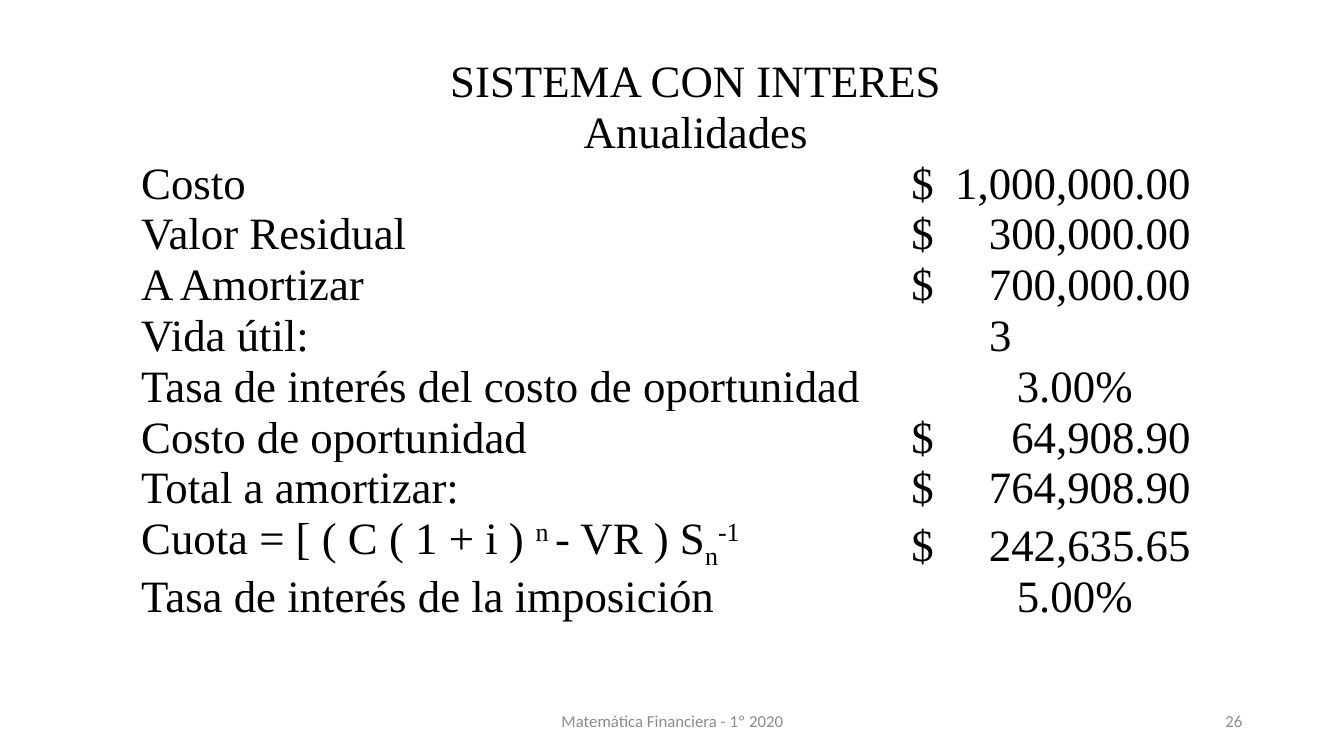
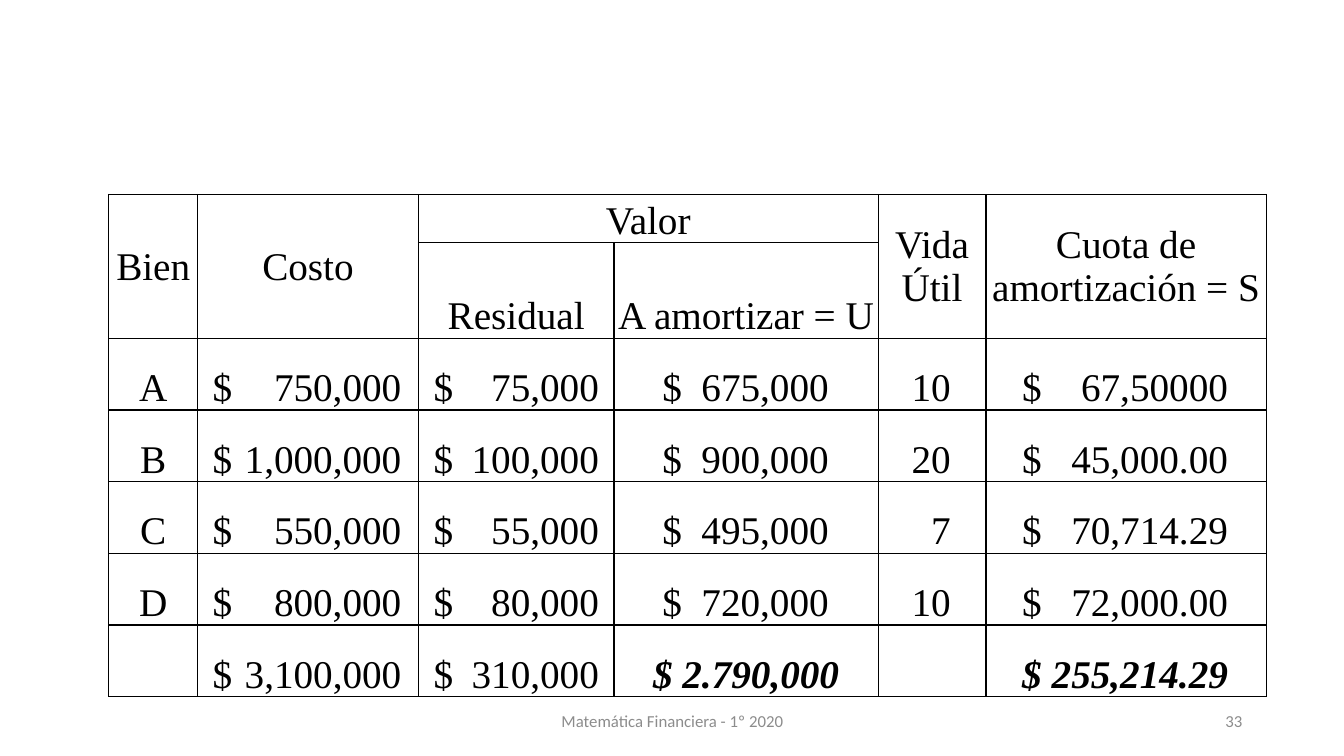
from lxml import etree
from pptx import Presentation
from pptx.dml.color import RGBColor
from pptx.enum.text import MSO_ANCHOR, PP_ALIGN
from pptx.oxml.ns import qn
from pptx.util import Inches, Pt

LEFT, CENTER, RIGHT = PP_ALIGN.LEFT, PP_ALIGN.CENTER, PP_ALIGN.RIGHT
MIDDLE, BOTTOM = MSO_ANCHOR.MIDDLE, MSO_ANCHOR.BOTTOM

BLACK, GRAY = "000000", "8C8C8C"
SERIF, SANS = "Times New Roman", "Calibri"
FOOTER = "Matemática Financiera - 1º 2020"
PAD = 0.01

# Slide 26: headings, then label and value
HEADINGS = ["SISTEMA CON INTERES", "Anualidades"]
QUOTA = [("Cuota = [ ( C ( 1 + i ) ", 0), ("n ", 30), ("- VR ) S", 0),
         ("n", -25), ("-1", 30)]  # text, baseline shift in percent
ANNUITY = [
    ("Costo", "$\t1,000,000.00"),
    ("Valor Residual", "$\t300,000.00"),
    ("A Amortizar", "$\t700,000.00"),
    ("Vida útil:", "3"),
    ("Tasa de interés del costo de oportunidad", "3.00%"),
    ("Costo de oportunidad", "$\t64,908.90"),
    ("Total a amortizar:", "$\t764,908.90"),
    (QUOTA, "$\t242,635.65"),
    ("Tasa de interés de la imposición", "5.00%"),
]
ANNUITY_COLS = [7.52, 3.5]
ANNUITY_MONEY = (0.13, 2.9)  # dollar sign and right edge of the figure
YEARS_INDENT = 0.9

# Slide 33: header cells as row, column, rows, columns, text, anchor
ASSET_HEADER = [
    (0, 0, 2, 1, "Bien", MIDDLE),
    (0, 1, 2, 1, "Costo", MIDDLE),
    (0, 2, 1, 2, "Valor", BOTTOM),
    (0, 4, 2, 1, "Vida Útil", MIDDLE),
    (0, 5, 2, 1, "Cuota de amortización = S", MIDDLE),
    (1, 2, 1, 1, "Residual", BOTTOM),
    (1, 3, 1, 1, "A amortizar = U", BOTTOM),
]
ASSETS = [
    ("A", "$\t750,000", "$\t75,000", "$\t675,000", "10", "$\t67,50000"),
    ("B", "$\t1,000,000", "$\t100,000", "$\t900,000", "20", "$\t45,000.00"),
    ("C", "$\t550,000", "$\t55,000", "$\t495,000", "7", "$\t70,714.29"),
    ("D", "$\t800,000", "$\t80,000", "$\t720,000", "10", "$\t72,000.00"),
    ("", "$\t3,100,000", "$\t310,000", "$ 2.790,000", "", "$\t255,214.29"),
]
ASSET_COLS = [0.88, 2.19, 1.94, 2.62, 1.07, 2.78]
ASSET_ROWS = [0.47, 0.95] + [0.71] * len(ASSETS)
ASSET_MONEY = {1: (0.15, 2.02), 2: (0.15, 1.79), 3: (0.48, 2.13),
               5: (0.36, 2.4)}
LIFE_COL, LIFE_MARGIN = 4, 0.35
EMPHASIZED_COLS = (3, 5)


def rgb(color):
    return RGBColor.from_string(color)


def add_run(p, text, size, font, color, baseline=0, emphasis=False):
    r = p.add_run()
    r.text = text
    r.font.size, r.font.name = Pt(size), font
    r.font.color.rgb = rgb(color)
    if emphasis:
        r.font.bold = r.font.italic = True
    if baseline:
        r._r.get_or_add_rPr().set("baseline", str(baseline * 1000))


def add_right_tab(p, pos):
    tabs = etree.SubElement(p._p.get_or_add_pPr(), qn("a:tabLst"))
    etree.SubElement(tabs, qn("a:tab"), pos=str(Inches(pos)), algn="r")


def set_borders(cell):
    tc_pr = cell._tc.get_or_add_tcPr()
    for i, side in enumerate(("lnL", "lnR", "lnT", "lnB")):
        ln = etree.Element(qn("a:" + side), w=str(Pt(1)))
        fill = etree.SubElement(ln, qn("a:solidFill"))
        etree.SubElement(fill, qn("a:srgbClr"), val=BLACK)
        tc_pr.insert(i, ln)


def add_table(s, left, top, cols, rows, bordered=False):
    """Add a plain table without banding or fills."""
    table = s.shapes.add_table(len(rows), len(cols), Inches(left), Inches(top),
                               Inches(sum(cols)), Inches(sum(rows))).table
    table.first_row = table.horz_banding = False
    for col, width in zip(table.columns, cols):
        col.width = Inches(width)
    for row, height in zip(table.rows, rows):
        row.height = Inches(height)
    for cell in table.iter_cells():
        cell.fill.background()
        cell.margin_left = cell.margin_right = cell.margin_top = Inches(PAD)
        cell.margin_bottom = 0
        if bordered:
            set_borders(cell)
    return table


def fill_cell(cell, text, size, align=LEFT, anchor=BOTTOM, spacing=None,
              money=None, emphasis=False):
    """Write a string or (text, baseline) runs; a tab splits $ from figure."""
    cell.vertical_anchor = anchor
    p = cell.text_frame.paragraphs[0]
    p.alignment = align
    if spacing:
        p.line_spacing = spacing
    if "\t" in text:
        start, end = money
        p.alignment = LEFT
        cell.margin_left = Inches(start)
        add_right_tab(p, end - start)
    for part, baseline in [(text, 0)] if isinstance(text, str) else text:
        if part:
            add_run(p, part, size, SERIF, BLACK, baseline, emphasis)


def add_footer(s, number):
    for left, width, text, align in ((4.42, 4.5, FOOTER, CENTER),
                                     (9.42, 3, str(number), RIGHT)):
        tf = s.shapes.add_textbox(Inches(left), Inches(6.95), Inches(width),
                                  Inches(0.4)).text_frame
        tf.word_wrap = True
        tf.vertical_anchor = MIDDLE
        p = tf.paragraphs[0]
        p.alignment = align
        add_run(p, text, 12, SANS, GRAY)


def build_annuity(s):
    count = len(HEADINGS) + len(ANNUITY)
    table = add_table(s, 1.39, 0.56, ANNUITY_COLS, [0.5] * count)
    for i, heading in enumerate(HEADINGS):
        table.cell(i, 0).merge(table.cell(i, 1))
        fill_cell(table.cell(i, 0), heading, 32, CENTER)
    for i, (label, value) in enumerate(ANNUITY, len(HEADINGS)):
        fill_cell(table.cell(i, 0), label, 32)
        cell = table.cell(i, 1)
        fill_cell(cell, value, 32, CENTER if "%" in value else LEFT,
                  money=ANNUITY_MONEY)
        if value.isdigit():
            cell.margin_left = Inches(YEARS_INDENT)


def build_assets(s):
    table = add_table(s, 1.08, 1.93, ASSET_COLS, ASSET_ROWS, bordered=True)
    for row, col, height, width, text, anchor in ASSET_HEADER:
        cell = table.cell(row, col)
        if height * width > 1:
            cell.merge(table.cell(row + height - 1, col + width - 1))
        fill_cell(cell, text, 28, CENTER, anchor)
    for i, asset in enumerate(ASSETS, 2):
        is_total = i == len(ASSET_ROWS) - 1
        for j, text in enumerate(asset):
            cell = table.cell(i, j)
            fill_cell(cell, text, 28, RIGHT if j == LIFE_COL else CENTER,
                      spacing=1.5, money=ASSET_MONEY.get(j),
                      emphasis=is_total and j in EMPHASIZED_COLS)
            if j == LIFE_COL:
                cell.margin_right = Inches(LIFE_MARGIN)


def main():
    prs = Presentation()
    prs.slide_width, prs.slide_height = Inches(13.33), Inches(7.5)
    for build, number in ((build_annuity, 26), (build_assets, 33)):
        s = prs.slides.add_slide(prs.slide_layouts[6])
        build(s)
        add_footer(s, number)
    prs.save("out.pptx")


if __name__ == "__main__":
    main()
